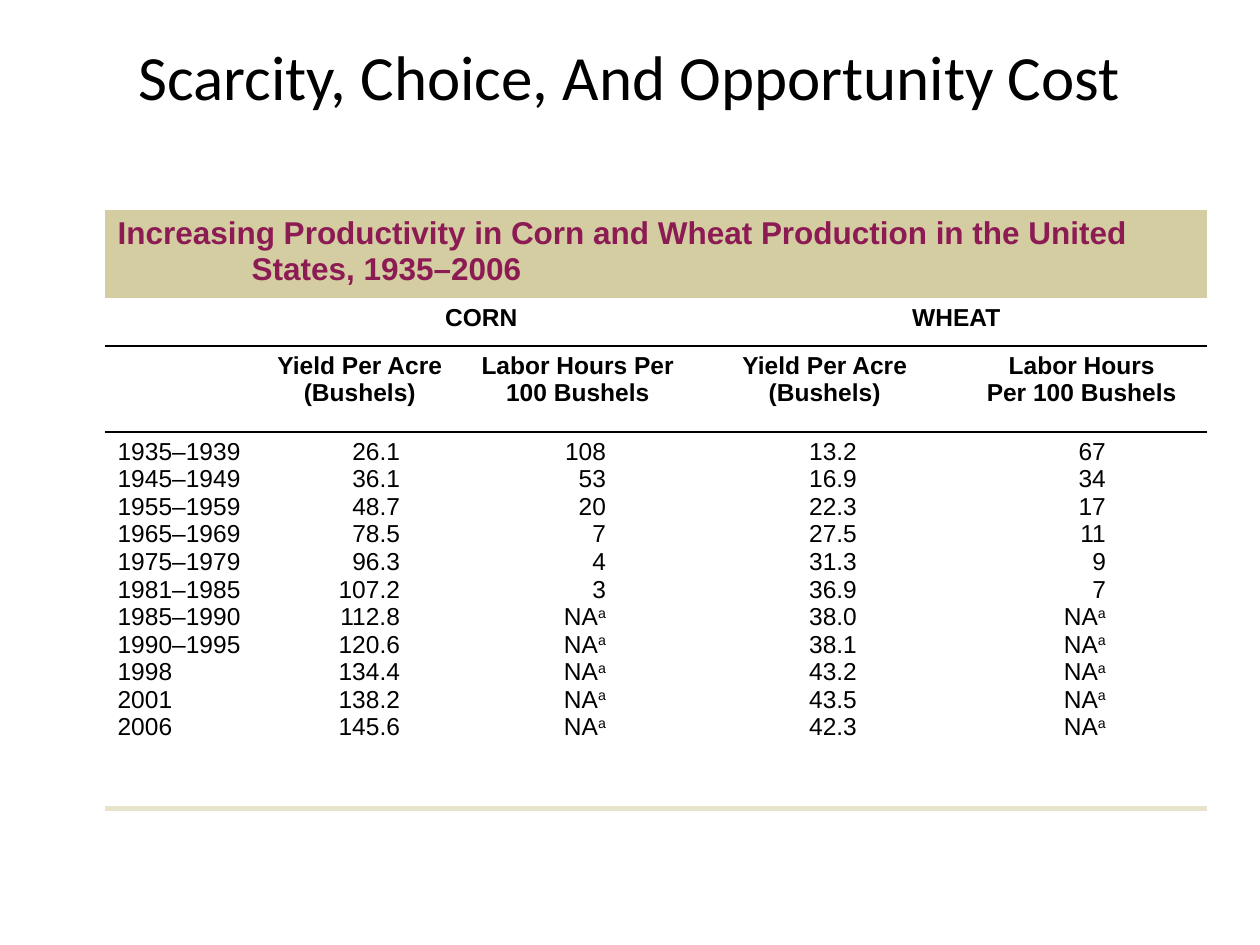
from lxml.etree import SubElement
from pptx import Presentation
from pptx.dml.color import RGBColor
from pptx.enum.text import MSO_ANCHOR as Anchor, PP_ALIGN as Align
from pptx.oxml.ns import qn
from pptx.util import Pt

PX = 914400 / 126
BLACK = RGBColor(0x00, 0x00, 0x00)
PLUM = RGBColor(0x8C, 0x1B, 0x54)
KHAKI = RGBColor(0xD3, 0xCD, 0xA1)
PALE_KHAKI = RGBColor(0xE7, 0xE4, 0xCB)
NO_STYLE = "{2D5ABB26-0587-4C30-8999-92F81FD0307C}"


def write(frame, text, size=14, font="Arial", color=BLACK, bold=False, align=Align.LEFT):
    paragraph = frame.paragraphs[0]
    paragraph.alignment = align
    for index, line in enumerate(text.split("\n")):
        if index:
            paragraph.add_line_break()
        for level, part in enumerate(line.split("^")):
            run = paragraph.add_run()
            run.text = part
            run.font.size = Pt(size)
            run.font.name = font
            run.font.bold = bold
            run.font.color.rgb = color
            if level:
                run.font._element.set("baseline", "30000")
    return paragraph


def rule_below(cell, color, width):
    line = SubElement(cell._tc.get_or_add_tcPr(), qn("a:lnB"), w=str(Pt(width)))
    SubElement(SubElement(line, qn("a:solidFill")), qn("a:srgbClr"), val=str(color))


presentation = Presentation()
presentation.slide_width = round(1260 * PX)
presentation.slide_height = round(945 * PX)
slide = presentation.slides.add_slide(presentation.slide_layouts[5])

title = slide.shapes.title
title.left, title.top = 0, 0
title.width, title.height = round(1259 * PX), round(126 * PX)
title.text_frame.vertical_anchor = Anchor.BOTTOM
title.text_frame.margin_bottom = round(13 * PX)
write(title.text_frame, "Scarcity, Choice, And Opportunity Cost", size=36, font="Calibri", align=Align.CENTER)

column_widths = [152, 193, 243, 251, 263]
row_heights = [88, 47, 86, 377]
table_frame = slide.shapes.add_table(
    len(row_heights), len(column_widths), round(105 * PX), round(210 * PX),
    round(sum(column_widths) * PX), round(sum(row_heights) * PX))
table = table_frame.table
table.first_row = False
table.horz_banding = False
for style in table_frame._element.iter(qn("a:tableStyleId")):
    style.text = NO_STYLE
for column, width in zip(table.columns, column_widths):
    column.width = round(width * PX)
for row, height in zip(table.rows, row_heights):
    row.height = round(height * PX)

rules = [None, (BLACK, 1), (BLACK, 1), (PALE_KHAKI, 3)]
for row, rule in zip(table.rows, rules):
    for cell in row.cells:
        if rule:
            rule_below(cell, *rule)
            cell.fill.background()
        else:
            cell.fill.solid()
            cell.fill.fore_color.rgb = KHAKI

table.cell(0, 0).merge(table.cell(0, 4))
table.cell(1, 1).merge(table.cell(1, 2))
table.cell(1, 3).merge(table.cell(1, 4))

heading = write(
    table.cell(0, 0).text_frame,
    "Increasing Productivity in Corn and Wheat Production in the United States, 1935–2006",
    size=18, color=PLUM, bold=True)
indent = round(134 * PX)
heading_properties = heading._p.get_or_add_pPr()
heading_properties.set("marL", str(indent))
heading_properties.set("indent", str(-indent))

headers = [
    ["", "CORN", "", "WHEAT", ""],
    ["", "Yield Per Acre (Bushels)", "Labor Hours Per 100 Bushels",
     "Yield Per Acre (Bushels)", "Labor Hours\nPer 100 Bushels"],
]
for row_index, labels in enumerate(headers, start=1):
    for column_index, label in enumerate(labels):
        cell = table.cell(row_index, column_index)
        cell.margin_right = 0
        write(cell.text_frame, label, bold=True, align=Align.CENTER)

records = [
    ("1935–1939", "26.1", "108", "13.2", "67"),
    ("1945–1949", "36.1", "53", "16.9", "34"),
    ("1955–1959", "48.7", "20", "22.3", "17"),
    ("1965–1969", "78.5", "7", "27.5", "11"),
    ("1975–1979", "96.3", "4", "31.3", "9"),
    ("1981–1985", "107.2", "3", "36.9", "7"),
    ("1985–1990", "112.8", "NA^a", "38.0", "NA^a"),
    ("1990–1995", "120.6", "NA^a", "38.1", "NA^a"),
    ("1998", "134.4", "NA^a", "43.2", "NA^a"),
    ("2001", "138.2", "NA^a", "43.5", "NA^a"),
    ("2006", "145.6", "NA^a", "42.3", "NA^a"),
]
right_margins = [0, 50, 87, 87, 101]
for column_index, (values, margin) in enumerate(zip(zip(*records), right_margins)):
    cell = table.cell(3, column_index)
    cell.margin_right = round(margin * PX)
    write(cell.text_frame, "\n".join(values), align=Align.RIGHT if column_index else Align.LEFT)

presentation.save("out.pptx")
